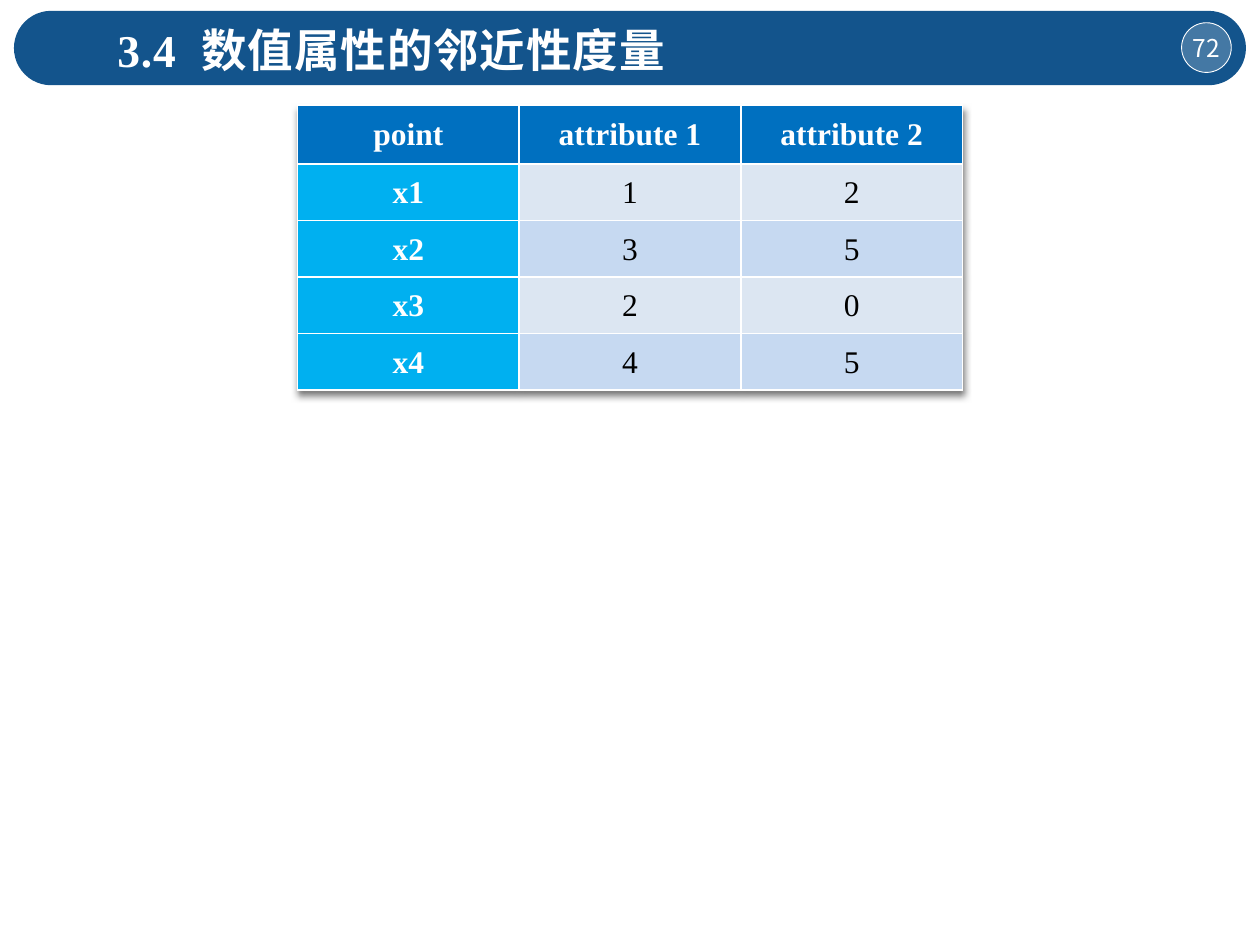
from dataclasses import dataclass

import lxml.etree
import pptx
import pptx.dml.color
import pptx.enum.shapes
import pptx.enum.text
import pptx.oxml
import pptx.oxml.ns
import pptx.util

Pt = pptx.util.Pt
qn = pptx.oxml.ns.qn
Align = pptx.enum.text.PP_ALIGN
Anchor = pptx.enum.text.MSO_ANCHOR
Shape = pptx.enum.shapes.MSO_SHAPE

COLORS = {
    "white": "FFFFFF", "black": "000000", "bar": "13548C",
    "header": "0070C0", "point": "00B0F0",
    "odd": "DCE6F2", "even": "C6D9F1",
}
LATIN, CJK = "Times New Roman", "Noto Sans CJK SC"
ROWS = [
    ("point", "attribute 1", "attribute 2"),
    ("x1", "1", "2"),
    ("x2", "3", "5"),
    ("x3", "2", "0"),
    ("x4", "4", "5"),
]


@dataclass
class CellStyle:
    fill: str
    color: str
    bold: bool


def rgb(name: str) -> pptx.dml.color.RGBColor:
    return pptx.dml.color.RGBColor.from_string(COLORS[name])


def set_font(font, name: str, size: float, color: str, bold: bool = False) -> None:
    font.name, font.size, font.bold = name, Pt(size), bold
    font.color.rgb = rgb(color)


def set_east_asian(r) -> None:
    ea = lxml.etree.SubElement(r.font._element, qn("a:ea"))
    ea.set("typeface", CJK)


def add_shape(s, kind, left: float, top: float, width: float, height: float, fill: str):
    sp = s.shapes.add_shape(kind, Pt(left), Pt(top), Pt(width), Pt(height))
    sp.shadow.inherit = False
    sp.fill.solid()
    sp.fill.fore_color.rgb = rgb(fill)
    return sp


def cell_style(row: int, col: int) -> CellStyle:
    if row == 0:
        return CellStyle("header", "white", True)
    if col == 0:
        return CellStyle("point", "white", True)
    return CellStyle("odd" if row % 2 else "even", "black", False)


def add_borders(cell) -> None:
    tc_pr = cell._tc.get_or_add_tcPr()
    for i, side in enumerate(("lnL", "lnR", "lnT", "lnB")):
        ln = lxml.etree.Element(qn(f"a:{side}"), w=str(Pt(1)))
        fill = lxml.etree.SubElement(ln, qn("a:solidFill"))
        lxml.etree.SubElement(fill, qn("a:srgbClr"), val=COLORS["white"])
        tc_pr.insert(i, ln)


def fill_cell(cell, text: str, style: CellStyle) -> None:
    cell.fill.solid()
    cell.fill.fore_color.rgb = rgb(style.fill)
    add_borders(cell)
    cell.vertical_anchor = Anchor.MIDDLE
    cell.margin_left = cell.margin_right = cell.margin_top = Pt(0.75)
    cell.margin_bottom = 0
    cell.text = text
    p = cell.text_frame.paragraphs[0]
    p.alignment = Align.CENTER
    set_font(p.font, LATIN, 18, style.color, style.bold)


def add_table_shadow(table) -> None:
    tbl_pr = table._tbl.tblPr
    effects = lxml.etree.Element(qn("a:effectLst"))
    shadow = lxml.etree.SubElement(
        effects, qn("a:outerShdw"), blurRad=str(Pt(4)), dist=str(Pt(3)),
        dir="5400000", algn="t", rotWithShape="0")
    color = lxml.etree.SubElement(shadow, qn("a:srgbClr"), val=COLORS["black"])
    lxml.etree.SubElement(color, qn("a:alpha"), val="50000")
    tbl_pr.insert(0, effects)


def add_header(s) -> None:
    # Rounded bar
    bar = add_shape(s, Shape.ROUNDED_RECTANGLE, 8, 6.2, 704, 42.5, "bar")
    bar.adjustments[0] = 0.5
    bar.line.fill.background()

    # Page number in a translucent circle
    badge = add_shape(s, Shape.OVAL, 675.2, 13, 28.4, 28.4, "white")
    color = badge.fill._xPr.find(qn("a:solidFill"))[0]
    lxml.etree.SubElement(color, qn("a:alpha"), val="21000")
    badge.line.color.rgb = rgb("white")
    badge.line.width = Pt(0.5)
    tf = badge.text_frame
    tf.margin_left = tf.margin_right = tf.margin_top = tf.margin_bottom = 0
    tf.word_wrap = False
    tf.vertical_anchor = Anchor.MIDDLE
    p = tf.paragraphs[0]
    p.alignment = Align.CENTER
    r = p.add_run()
    r.text = "72"
    set_font(p.font, CJK, 14, "white")
    set_east_asian(r)


def add_title(s) -> None:
    title = s.shapes.title
    title.left, title.top, title.width, title.height = Pt(59.8), Pt(8.6), Pt(351.4), Pt(38.9)
    title.element.getparent().append(title.element)  # in front of the bar
    tf = title.text_frame
    tf.word_wrap = True
    tf.auto_size = pptx.enum.text.MSO_AUTO_SIZE.NONE
    tf.vertical_anchor = Anchor.MIDDLE
    p = tf.paragraphs[0]
    p.alignment = Align.LEFT
    set_font(p.font, LATIN, 26, "white", True)
    # The wide space sets the number apart from the heading
    for text, spacing in (("3.4", 50), (" ", 750), ("数值属性的邻近性度量", 50)):
        r = p.add_run()
        r.text = text
        r.font._element.set("spc", str(spacing))
        set_east_asian(r)


def add_points_table(s) -> None:
    frame = s.shapes.add_table(len(ROWS), len(ROWS[0]), Pt(170), Pt(60), Pt(380.1), Pt(163.2))
    table = frame.table
    add_table_shadow(table)
    for col in table.columns:
        col.width = Pt(126.7)
    for i, values in enumerate(ROWS):
        table.rows[i].height = Pt(32.3 if i else 33.7)
        for j, text in enumerate(values):
            fill_cell(table.cell(i, j), text, cell_style(i, j))


def main() -> None:
    prs = pptx.Presentation()
    prs.slide_width, prs.slide_height = Pt(720), Pt(540)
    s = prs.slides.add_slide(prs.slide_layouts[5])
    add_header(s)
    add_title(s)
    add_points_table(s)
    prs.save("out.pptx")


if __name__ == "__main__":
    main()
